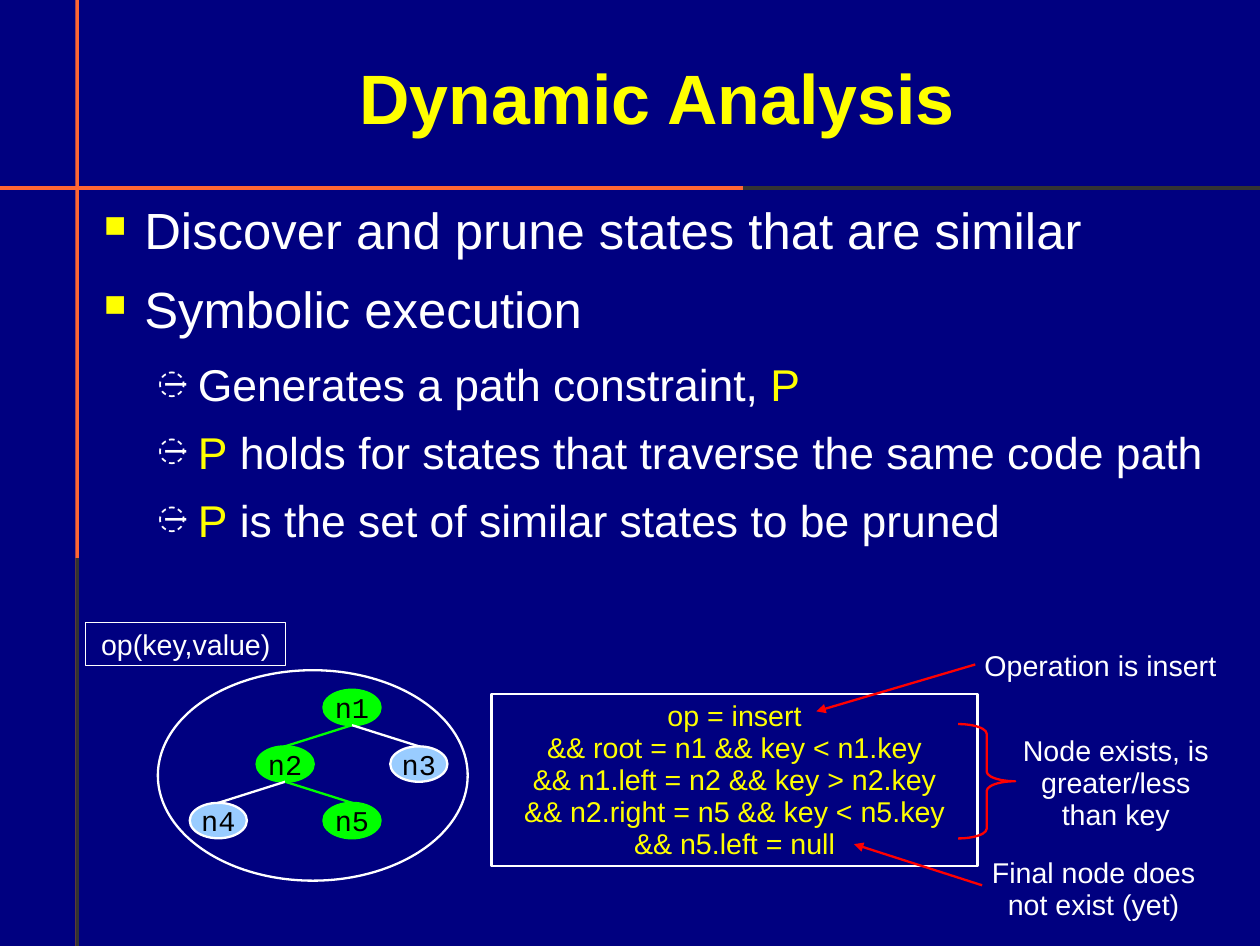
from lxml.etree import SubElement
from pptx import Presentation
from pptx.dml.color import RGBColor
from pptx.enum.dml import MSO_LINE
from pptx.enum.shapes import MSO_CONNECTOR as LINK, MSO_SHAPE as SHAPE
from pptx.enum.text import MSO_ANCHOR as ANCHOR, PP_ALIGN as ALIGN
from pptx.oxml.ns import qn
from pptx.util import Pt

NAVY, WHITE, YELLOW = "000080", "FFFFFF", "FFFF00"
GREEN, BLUE, RED, BLACK = "00FF00", "99CCFF", "FF0000", "000000"
ORANGE, GRAY = "FF6633", "333333"
THIN, LINE = 0.75, 1.45
PAD = (7.2, 5, 7.2, 3.6)
NODE_W, NODE_H = 36, 22.3
NODES = {
    "n1": (2, 0, GREEN),
    "n2": (1, 1, GREEN),
    "n3": (3, 1, BLUE),
    "n4": (0, 2, BLUE),
    "n5": (2, 2, GREEN),
}
EDGES = [("n1", "n2"), ("n1", "n3"), ("n2", "n4"), ("n2", "n5")]
POINTS = [
    (0, [("Discover and prune states that are similar", WHITE)]),
    (0, [("Symbolic execution", WHITE)]),
    (1, [("Generates a path constraint, ", WHITE), ("P", YELLOW)]),
    (1, [("P", YELLOW), (" holds for states that traverse the same code path", WHITE)]),
    (1, [("P", YELLOW), (" is the set of similar states to be pruned", WHITE)]),
]
LEVELS = [
    dict(size=32, left=34, after=14.2, mark="■", tint=YELLOW, scale=60),
    dict(size=28, left=67.7, after=11.4, mark="̶", tint=WHITE, scale=75),
]
RULE = "op = insert\n&& root = n1 && key < n1.key\n&& n1.left = n2 && key > n2.key\n&& n2.right = n5 && key < n5.key\n&& n5.left = null"
LABELS = [
    ("Operation is insert", (594, 404.6, 198, 27.4)),
    ("Node exists, is greater/less than key", (630.7, 458.6, 144, 67.7)),
    ("Final node does not exist (yet)", (607.7, 535, 162, 47.5)),
]
ARROWS = [
    ((614.2, 418.3), (514.1, 447.8)),
    ((618.5, 557.3), (537.8, 531.4)),
]


def color(code):
    """Turn a hex string into a colour."""
    return RGBColor.from_string(code)


def style(run, size, tint, face="Arial", bold=False):
    """Set the font of a run."""
    run.font.size, run.font.name, run.font.bold = Pt(size), face, bold
    run.font.color.rgb = color(tint)


def setup(frame, pad, anchor=ANCHOR.TOP, wrap=True):
    """Set the margins, anchor and wrapping of a text frame."""
    frame.margin_left, frame.margin_top, frame.margin_right, frame.margin_bottom = map(Pt, pad)
    frame.vertical_anchor, frame.word_wrap = anchor, wrap


def write(frame, text, size, tint, face="Arial", bold=False, space=0.93):
    """Fill a frame with centred text."""
    frame.text = text
    for para in frame.paragraphs:
        para.alignment, para.line_spacing = ALIGN.CENTER, space
        for run in para.runs:
            style(run, size, tint, face, bold)


def add_box(slide, kind, at, fill=None, line=None, width=LINE):
    """Add a preset shape."""
    box = slide.shapes.add_shape(kind, *map(Pt, at))
    box.shadow.inherit = False
    if fill:
        box.fill.solid()
        box.fill.fore_color.rgb = color(fill)
    else:
        box.fill.background()
    if line:
        box.line.color.rgb = color(line)
        box.line.width = Pt(width)
    else:
        box.line.fill.background()
    return box


def add_bar(slide, at, angle):
    """Add a thin bar that turns from orange to gray."""
    bar = add_box(slide, SHAPE.RECTANGLE, at)
    bar.fill.gradient()
    bar.fill.gradient_angle = angle
    for stop, tint in zip(bar.fill.gradient_stops, (ORANGE, GRAY)):
        stop.position = 0.59
        stop.color.rgb = color(tint)


def add_text(slide, text, at, size=18, tint=WHITE, pad=PAD, anchor=ANCHOR.TOP, bold=False):
    """Add a centred text box."""
    frame = slide.shapes.add_textbox(*map(Pt, at)).text_frame
    setup(frame, pad, anchor)
    write(frame, text, size, tint, bold=bold)


def add_link(slide, start, end, tint, arrow=False):
    """Add a straight line or arrow."""
    link = slide.shapes.add_connector(LINK.STRAIGHT, *map(Pt, start + end))
    link.line.color.rgb = color(tint)
    link.line.width = Pt(LINE)
    link.line.dash_style = MSO_LINE.SOLID
    if arrow:
        SubElement(link.line._get_or_add_ln(), qn("a:tailEnd"), type="triangle")
    SubElement(link._element.spPr, qn("a:effectLst"))


def add_mark(para, left, mark, tint, scale):
    """Give a paragraph a hanging bullet."""
    props = para._p.get_or_add_pPr()
    props.set("marL", str(Pt(left)))
    props.set("indent", str(Pt(-25.5)))
    SubElement(SubElement(props, qn("a:buClr")), qn("a:srgbClr"), val=tint)
    SubElement(props, qn("a:buSzPct"), val=str(scale * 1000))
    SubElement(props, qn("a:buChar"), char=mark)


def add_list(slide, at):
    """Add the bulleted points."""
    frame = slide.shapes.add_textbox(*map(Pt, at)).text_frame
    setup(frame, (0, 2.2, 0, 0))
    for i, (level, parts) in enumerate(POINTS):
        para = frame.add_paragraph() if i else frame.paragraphs[0]
        look = LEVELS[level]
        para.level = level
        add_mark(para, look["left"], look["mark"], look["tint"], look["scale"])
        para.line_spacing, para.space_after = 0.93, Pt(look["after"])
        for text, tint in parts:
            run = para.add_run()
            run.text = text
            style(run, look["size"], tint)


def add_tree(slide):
    """Add the search tree with its visited path in green."""
    spots = {}
    for name, (col, row, fill) in NODES.items():
        x, y = 119.5 + 42.1 * col, 434.2 + 35.6 * row
        spots[name] = x, y
        line = GREEN if fill == GREEN else WHITE
        node = add_box(slide, SHAPE.OVAL, (x, y, NODE_W, NODE_H), fill, line)
        setup(node.text_frame, (7.2, 4.3, 7.2, 4.3), ANCHOR.MIDDLE, False)
        write(node.text_frame, name, 18, BLACK, "Courier New", space=1.0)
    for top, low in EDGES:
        (x, y), (u, v) = spots[top], spots[low]
        tint = GREEN if NODES[low][2] == GREEN else WHITE
        add_link(slide, (x + NODE_W / 2, y + NODE_H), (u + NODE_W / 2, v), tint)
    add_box(slide, SHAPE.OVAL, (99.4, 421.9, 195.1, 132.5), line=WHITE)


def main():
    """Build the slide."""
    deck = Presentation()
    deck.slide_width, deck.slide_height = Pt(793.5), Pt(595.5)
    slide = deck.slides.add_slide(deck.slide_layouts[6])
    slide.background.fill.solid()
    slide.background.fill.fore_color.rgb = color(NAVY)
    add_bar(slide, (0, 117.4, 793.5, 2.2), 0)
    add_bar(slide, (47.5, 0, 2.2, 595.5), 270)
    add_text(slide, "Dynamic Analysis", (56.9, 15.8, 714.2, 92.2), 44, YELLOW,
             (0, 2.9, 0, 0), ANCHOR.MIDDLE, True)
    add_list(slide, (56.9, 126, 714.2, 393))
    add_tree(slide)
    call = add_box(slide, SHAPE.RECTANGLE, (54, 391.7, 126, 27.4), NAVY, WHITE, THIN)
    setup(call.text_frame, PAD)
    write(call.text_frame, "op(key,value)", 18, WHITE)
    rule = add_box(slide, SHAPE.RECTANGLE, (309.6, 437, 306, 108), line=WHITE)
    setup(rule.text_frame, (7.9, 5.8, 7.9, 4.3), ANCHOR.MIDDLE, False)
    write(rule.text_frame, RULE, 18, YELLOW)
    brace = add_box(slide, SHAPE.RIGHT_BRACE, (603.4, 455.8, 36, 72), line=RED)
    brace.adjustments[0] = 0.17
    for text, at in LABELS:
        add_text(slide, text, at)
    for start, end in ARROWS:
        add_link(slide, start, end, RED, True)
    deck.save("out.pptx")


if __name__ == "__main__":
    main()
